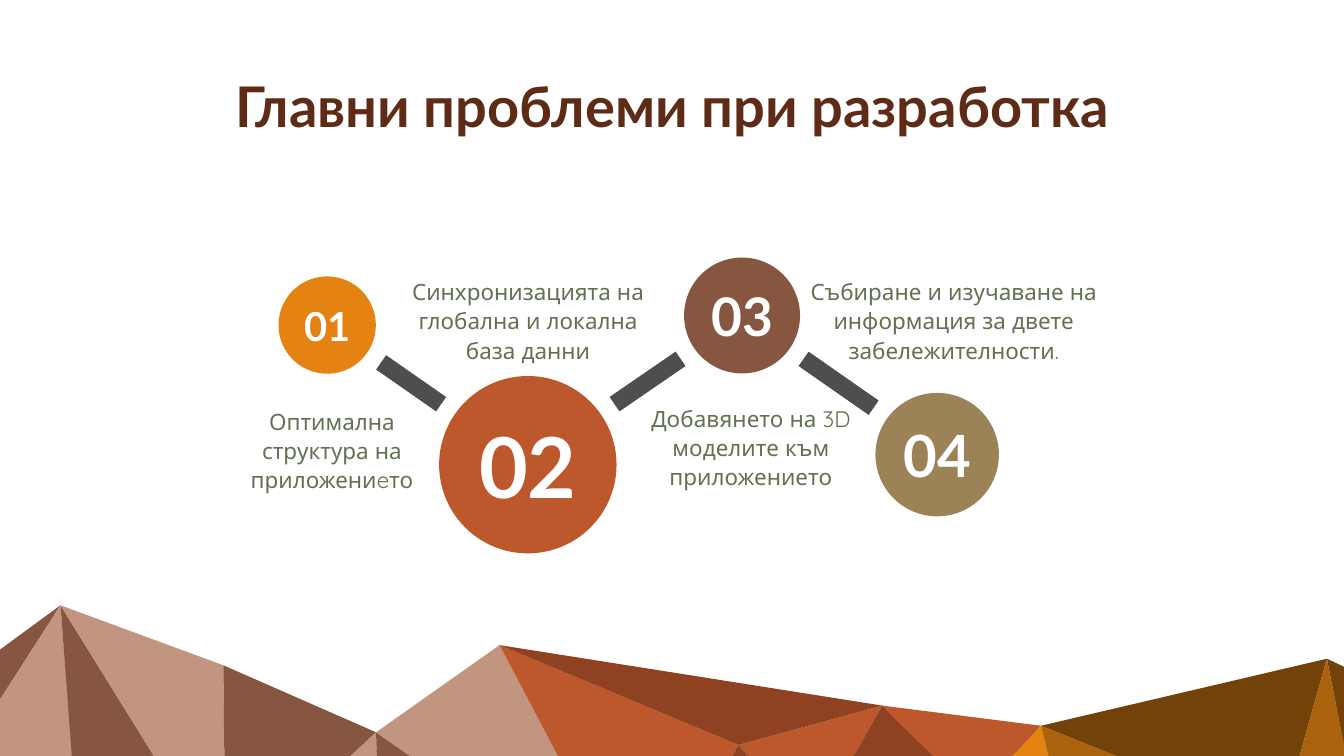
from lxml.etree import SubElement
from pptx import Presentation
from pptx.dml.color import RGBColor
from pptx.enum.shapes import MSO_CONNECTOR, MSO_SHAPE
from pptx.enum.text import MSO_ANCHOR, MSO_AUTO_SIZE, PP_ALIGN
from pptx.oxml.ns import qn
from pptx.util import Inches, Pt

THEME = {
    "title": "5E2C16", "label": "637052", "number": "FFFFFF", "link": "4E4E4E",
    "brown": "865640", "tan": "C29580", "rust": "BD582C", "dark_rust": "8E4221",
    "orange": "E48312", "amber": "AB620D", "dark_amber": "724209", "olive": "9B8357",
    "title_font": "Lato", "label_font": "Quicksand",
    "title_size": 80, "label_size": 32, "label_spacing": 42, "link_width": 25,
}

TITLE = ("Главни проблеми при разработка", (3.86, 1.36, 18.98, 1.45))

# number, centre x, centre y, diameter, colour, type size
CIRCLES = [
    ("01", 6.49, 6.45, 1.93, "orange", 57),
    ("02", 10.47, 9.22, 3.52, "rust", 120),
    ("03", 14.72, 6.26, 2.3, "brown", 76),
    ("04", 18.59, 9.02, 2.45, "olive", 83),
]

LINKS = [
    ((7.56, 7.19), (8.75, 8.02)),
    ((12.19, 8.02), (13.5, 7.12)),
    ((15.94, 7.12), (17.33, 8.09)),
]

LABELS = [
    ("Оптимална структура на приложениeто", (4.68, 7.99, 3.81, 1.87)),
    ("Синхронизацията на глобална и локална база данни", (8.04, 5.42, 4.87, 1.87)),
    ("Добавянето на 3D моделите към приложението", (12.73, 7.93, 4.33, 1.87)),
    ("Събиране и изучаване на информация за двете забележителности.",
     (15.87, 5.42, 6.1, 1.87)),
]

# Corners shared by neighbouring facets of the mountain range
PEAK_1, SLOPE, VALLEY_1 = (1.2, 12.01), (4.43, 13.2), (7.46, 14.53)
PEAK_2, DIP, CREST = (9.91, 12.8), (14.65, 14.78), (17.5, 14)
VALLEY_2, PEAK_3 = (20.65, 14.4), (26.32, 13.07)
ROOT_1, ROOT_2, ROOT_3 = (16.1, 16.47), (19.34, 15.81), (25.41, 16.32)
LEFT, RIGHT, BASE = 0, 26.81, 16.66

FACETS = [
    ("brown", [PEAK_1, (LEFT, 12.89), (LEFT, 13.88)]),
    ("tan", [PEAK_1, (LEFT, 13.88), (LEFT, BASE), (1.57, BASE)]),
    ("brown", [PEAK_1, (1.55, BASE), (4.08, BASE)]),
    ("tan", [PEAK_1, (4.08, BASE), (4.47, BASE), SLOPE]),
    ("brown", [SLOPE, (4.47, BASE), (5.18, BASE), VALLEY_1]),
    ("tan", [VALLEY_1, (5.18, BASE), (7.55, BASE)]),
    ("brown", [VALLEY_1, (7.53, BASE), (10.52, BASE)]),
    ("tan", [VALLEY_1, (10.49, BASE), (11.94, BASE), PEAK_2]),
    ("rust", [PEAK_2, (11.94, BASE), (13.62, BASE), DIP]),
    ("rust", [DIP, ROOT_1, CREST]),
    ("dark_rust", [CREST, ROOT_1, ROOT_2]),
    ("rust", [CREST, ROOT_2, VALLEY_2]),
    ("orange", [VALLEY_2, ROOT_2, (20.28, BASE), (21.22, BASE)]),
    ("dark_amber", [VALLEY_2, ROOT_3, PEAK_3]),
    ("amber", [VALLEY_2, (21.21, BASE), (24.41, BASE), ROOT_3]),
    ("dark_amber", [PEAK_3, (RIGHT, 15.57), (RIGHT, 13.3)]),
    ("amber", [PEAK_3, ROOT_3, (26, BASE), (RIGHT, BASE), (RIGHT, 15.52)]),
    ("dark_rust", [PEAK_2, DIP, CREST]),
    ("dark_rust", [DIP, (13.59, BASE), (15.71, BASE), ROOT_1]),
]


def rgb(name):
    return RGBColor.from_string(THEME[name])


def inches(values):
    return [Inches(v) for v in values]


def paint(shape, color):
    shape.shadow.inherit = False
    shape.fill.solid()
    shape.fill.fore_color.rgb = rgb(color)
    shape.line.fill.background()


def write(tf, text, font, size, color, bold=False, wrap=True):
    tf.word_wrap = wrap
    tf.auto_size = MSO_AUTO_SIZE.NONE
    p = tf.paragraphs[0]
    p.text = text
    p.alignment = PP_ALIGN.CENTER
    p.font.name, p.font.size, p.font.bold = THEME[font], Pt(size), bold
    p.font.color.rgb = rgb(color)
    return p


def add_facet(s, color, corners):
    start, *rest = [inches(corner) for corner in corners]
    builder = s.shapes.build_freeform(*start)
    builder.add_line_segments(rest, close=True)
    paint(builder.convert_to_shape(), color)


def add_link(s, start, end):
    line = s.shapes.add_connector(MSO_CONNECTOR.STRAIGHT, *inches(start + end))
    line.line.color.rgb = rgb("link")
    line.line.width = Pt(THEME["link_width"])
    SubElement(line._element.spPr, qn("a:effectLst"))


def add_circle(s, number, x, y, diameter, color, size):
    left, top = x - diameter / 2, y - diameter / 2
    sp = s.shapes.add_shape(MSO_SHAPE.OVAL, *inches((left, top, diameter, diameter)))
    paint(sp, color)
    tf = sp.text_frame
    tf.vertical_anchor = MSO_ANCHOR.MIDDLE
    write(tf, number, "title_font", size, "number", bold=True, wrap=False)


def add_label(s, text, box):
    tf = s.shapes.add_textbox(*inches(box)).text_frame
    p = write(tf, text, "label_font", THEME["label_size"], "label")
    p.line_spacing = Pt(THEME["label_spacing"])


def add_title(s, text, box):
    title = s.shapes.title
    title.left, title.top, title.width, title.height = inches(box)
    title.text_frame.vertical_anchor = MSO_ANCHOR.TOP
    write(title.text_frame, text, "title_font", THEME["title_size"], "title", bold=True)


def main():
    prs = Presentation()
    prs.slide_width, prs.slide_height = Inches(26.66), Inches(15)
    s = prs.slides.add_slide(prs.slide_layouts[5])
    add_title(s, *TITLE)
    for facet in FACETS:
        add_facet(s, *facet)
    for link in LINKS:
        add_link(s, *link)
    for circle in CIRCLES:
        add_circle(s, *circle)
    for label in LABELS:
        add_label(s, *label)
    prs.save("out.pptx")


if __name__ == "__main__":
    main()
